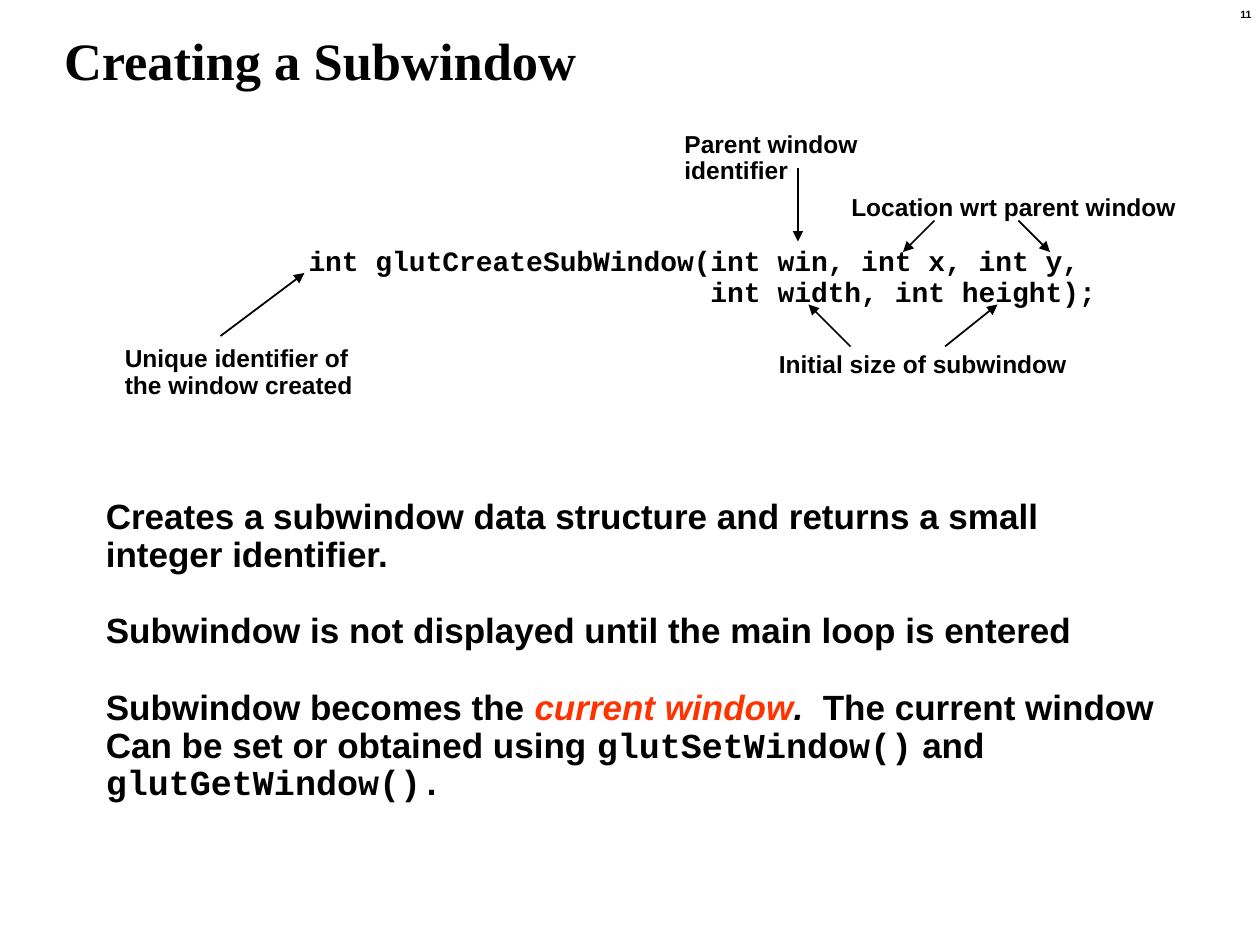
import pptx
import pptx.util
import pptx.dml.color
import pptx.enum.shapes
import pptx.enum.text
import pptx.oxml.ns
from lxml import etree

BLACK = pptx.dml.color.RGBColor(0x00, 0x00, 0x00)
RED = pptx.dml.color.RGBColor(0xFF, 0x33, 0x00)
SANS, MONO, SERIF = "Arial", "Courier New", "Times New Roman"
ALIGN = pptx.enum.text.PP_ALIGN
SCALE = 7620  # EMU in one px, 120 px to the inch


def emu(*px):
    return [pptx.util.Emu(n * SCALE) for n in px]


class Deck:
    """Style and current slide."""

    def __init__(self, wide, high):
        self.prs = pptx.Presentation()
        self.prs.slide_width, self.prs.slide_height = emu(wide, high)
        self.slide = self.prs.slides.add_slide(self.prs.slide_layouts[6])

    def text(self, box, paras, size, face=SANS, space=0.9, wrap=False,
             pad=(12, 6), align=ALIGN.LEFT, after=0):
        """Add bold text; a paragraph is (space before, runs), a run (words, style)."""
        frame = self.slide.shapes.add_textbox(*emu(*box)).text_frame
        frame.word_wrap = wrap
        if not wrap:
            frame.auto_size = pptx.enum.text.MSO_AUTO_SIZE.SHAPE_TO_FIT_TEXT
        frame.margin_left = frame.margin_right = emu(pad[0])[0]
        frame.margin_top = frame.margin_bottom = emu(pad[1])[0]
        for i, (gap, runs) in enumerate(paras):
            para = frame.paragraphs[0] if i == 0 else frame.add_paragraph()
            para.alignment = align
            para.line_spacing = space
            para.space_before = pptx.util.Pt(gap)
            para.space_after = pptx.util.Pt(after)
            font = para.font
            font.size, font.bold = pptx.util.Pt(size), True
            faces = {style.get("face", face) for _, style in runs}
            shades = {style.get("color", BLACK) for _, style in runs}
            if len(faces) == 1:
                font.name = faces.pop()
            if len(shades) == 1:
                font.color.rgb = shades.pop()
            for words, style in runs:
                run = para.add_run()
                run.text = words
                if faces:
                    run.font.name = style.get("face", face)
                if shades:
                    run.font.color.rgb = style.get("color", BLACK)
                if style.get("slant"):
                    run.font.italic = True

    def lines(self, box, rows, size, **style):
        """Add plain lines, one paragraph each."""
        self.text(box, [(0, [(row, {})]) for row in rows], size, **style)

    def arrow(self, *ends):
        line = self.slide.shapes.add_connector(
            pptx.enum.shapes.MSO_CONNECTOR.STRAIGHT, *emu(*ends))
        line.line.color.rgb = BLACK
        line.line.width = pptx.util.Pt(1)
        qn = pptx.oxml.ns.qn
        etree.SubElement(line.line._get_or_add_ln(), qn("a:tailEnd"), type="triangle")
        etree.SubElement(line._element.spPr, qn("a:effectLst"))


def main():
    deck = Deck(1200, 900)
    deck.lines((1112, 0, 86, 23), ["11"], 6, space=1.47, wrap=True,
               pad=(6, 2), align=ALIGN.RIGHT, after=5.5)
    deck.lines((55, 20, 1084, 125), ["Creating a Subwindow"], 30, face=SERIF,
               space=0.87, wrap=True, pad=(6, 15))
    deck.lines((282, 230, 774, 70),
               ["int glutCreateSubWindow(int win, int x, int y,",
                "                        int width, int height);"],
               16, face=MONO)

    labels = [
        ((107, 324, 241, 62), ["Unique identifier of", "the window created"]),
        ((640, 120, 294, 37), ["Parent window identifier"]),
        ((799, 180, 334, 37), ["Location wrt parent window"]),
        ((730, 330, 298, 37), ["Initial size of subwindow"]),
    ]
    for box, rows in labels:
        deck.lines(box, rows, 14)

    arrows = [
        (210, 320, 290, 260),
        (760, 160, 760, 230),
        (890, 210, 860, 240),
        (970, 210, 1000, 240),
        (810, 330, 770, 290),
        (900, 330, 950, 290),
    ]
    for ends in arrows:
        deck.arrow(*ends)

    gap, code = 22, {"face": MONO}
    deck.text((89, 470, 1022, 336), [
        (0, [("Creates a subwindow data structure and returns a small", {})]),
        (0, [("integer identifier.", {})]),
        (gap, [("Subwindow is not displayed until the main loop is entered", {})]),
        (gap, [("Subwindow becomes the ", {}),
               ("current window", {"color": RED, "slant": True}),
               (".  ", {"slant": True}),
               ("The current window", {})]),
        (0, [("Can be set or obtained using ", {}),
             ("glutSetWindow()", code), (" and", {})]),
        (0, [("glutGetWindow().", code)]),
    ], 20)
    deck.prs.save("out.pptx")


if __name__ == "__main__":
    main()
